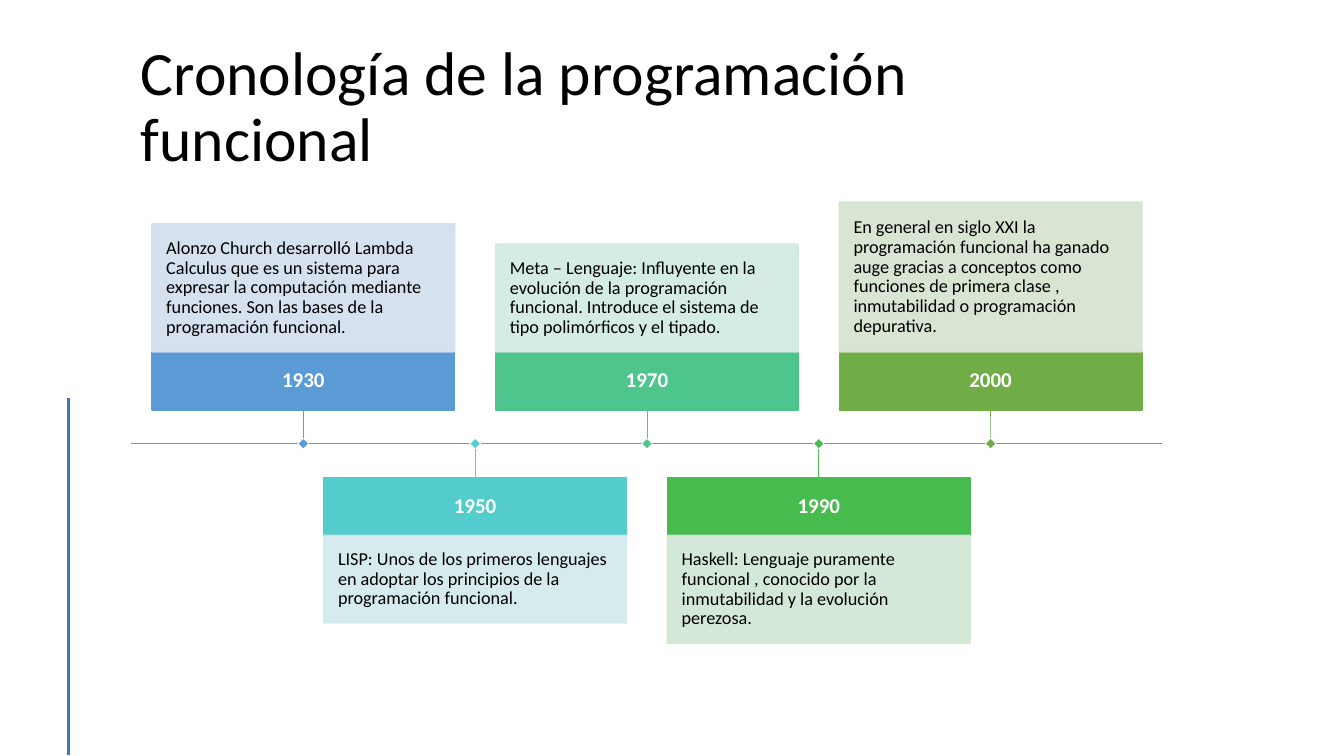
from dataclasses import dataclass

import pptx
import pptx.dml.color
import pptx.enum.shapes
import pptx.enum.text
import pptx.oxml.ns
import pptx.util
from lxml import etree

Cm = pptx.util.Cm
Pt = pptx.util.Pt
RGBColor = pptx.dml.color.RGBColor
ALIGN = pptx.enum.text.PP_ALIGN
ANCHOR = pptx.enum.text.MSO_ANCHOR
RECT = pptx.enum.shapes.MSO_SHAPE.RECTANGLE
STRAIGHT = pptx.enum.shapes.MSO_CONNECTOR.STRAIGHT

BLACK = RGBColor(0x00, 0x00, 0x00)
WHITE = RGBColor(0xFF, 0xFF, 0xFF)
BLUE = RGBColor(0x5B, 0x9B, 0xD5)
DARK_BLUE = RGBColor(0x44, 0x72, 0xC4)
PALE_BLUE = RGBColor(0xD2, 0xDE, 0xEF)
TURQUOISE = RGBColor(0x54, 0xCC, 0xCD)
PALE_TURQUOISE = RGBColor(0xD1, 0xE9, 0xED)
MINT = RGBColor(0x4D, 0xC5, 0x8D)
PALE_MINT = RGBColor(0xD0, 0xEA, 0xE1)
GREEN = RGBColor(0x48, 0xBB, 0x4F)
PALE_GREEN = RGBColor(0xD0, 0xE6, 0xD4)
OLIVE = RGBColor(0x70, 0xAD, 0x47)
PALE_OLIVE = RGBColor(0xD5, 0xE3, 0xCF)

# Timeline geometry, in centimetres
AXIS_Y = 11.18
AXIS_LEFT, AXIS_RIGHT = 3.3, 29.29
CARD_LEFT, CARD_W, PITCH = 3.83, 7.63, 4.33
YEAR_H = 1.46
STEM = 0.85
MARK = 0.19

TITLE_FONT = {"name": "Calibri", "size": Pt(44), "bold": False}
YEAR_FONT = {"name": "Calibri", "size": Pt(15), "bold": True}
BODY_FONT = {"name": "Calibri", "size": Pt(13), "bold": False}


@dataclass
class Milestone:
    year: str
    text: str
    body_h: float
    color: RGBColor
    pale: RGBColor


MILESTONES = [
    Milestone("1930", "Alonzo Church desarrolló Lambda Calculus que es un sistema para "
              "expresar la computación mediante funciones. Son las bases de la "
              "programación funcional.", 3.23, BLUE, PALE_BLUE),
    Milestone("1950", "LISP: Unos de los primeros lenguajes en adoptar los principios "
              "de la programación funcional.", 2.21, TURQUOISE, PALE_TURQUOISE),
    Milestone("1970", "Meta – Lenguaje: Influyente en la evolución de la programación "
              "funcional. Introduce el sistema de tipo polimórficos y el tipado.",
              2.72, MINT, PALE_MINT),
    Milestone("1990", "Haskell: Lenguaje puramente funcional , conocido por la "
              "inmutabilidad y la evolución perezosa.", 2.72, GREEN, PALE_GREEN),
    Milestone("2000", "En general en siglo XXI la programación funcional ha ganado "
              "auge gracias a conceptos como funciones de primera clase , "
              "inmutabilidad o programación depurativa.", 3.78, OLIVE, PALE_OLIVE),
]


def write(sp, text: str, font: dict, color: RGBColor, align, inset_x: float, inset_y: float) -> None:
    tf = sp.text_frame
    frame = {"word_wrap": True, "vertical_anchor": ANCHOR.MIDDLE,
             "margin_left": Cm(inset_x), "margin_right": Cm(inset_x),
             "margin_top": Cm(inset_y), "margin_bottom": Cm(inset_y)}
    for name, value in frame.items():
        setattr(tf, name, value)
    p = tf.paragraphs[0]
    p.alignment = align
    p.line_spacing = 0.9
    r = p.add_run()
    r.text = text
    for name, value in font.items():
        setattr(r.font, name, value)
    r.font.color.rgb = color


def add_rect(s, x: float, y: float, w: float, h: float, fill: RGBColor,
             line: RGBColor, line_w: float = 1):
    sp = s.shapes.add_shape(RECT, Cm(x), Cm(y), Cm(w), Cm(h))
    sp.shadow.inherit = False
    sp.fill.solid()
    sp.fill.fore_color.rgb = fill
    sp.line.color.rgb = line
    sp.line.width = Pt(line_w)
    return sp


def set_opacity(sp, percent: int) -> None:
    qn = pptx.oxml.ns.qn
    for clr in sp._element.spPr.iter(qn("a:srgbClr")):
        etree.SubElement(clr, qn("a:alpha")).set("val", str(percent * 1000))


def add_line(s, x1: float, y1: float, x2: float, y2: float, color: RGBColor, width: float):
    line = s.shapes.add_connector(STRAIGHT, Cm(x1), Cm(y1), Cm(x2), Cm(y2))
    line.line.color.rgb = color
    line.line.width = Pt(width)
    etree.SubElement(line._element.spPr, pptx.oxml.ns.qn("a:effectLst"))
    return line


def add_milestone(s, m: Milestone, index: int) -> None:
    above = index % 2 == 0
    x = CARD_LEFT + index * PITCH
    mid = x + CARD_W / 2
    year_y = AXIS_Y - STEM - YEAR_H if above else AXIS_Y + STEM
    body_y = year_y - m.body_h if above else year_y + YEAR_H

    # Year band and description
    year = add_rect(s, x, year_y, CARD_W, YEAR_H, m.color, m.color)
    write(year, m.year, YEAR_FONT, WHITE, ALIGN.CENTER, 0.2, 0.2)
    body = add_rect(s, x, body_y, CARD_W, m.body_h, m.pale, m.pale)
    set_opacity(body, 90)
    write(body, m.text, BODY_FONT, BLACK, ALIGN.LEFT, 0.36, 0.36)

    # Stem and diamond on the axis
    stem_y = AXIS_Y - STEM if above else AXIS_Y + STEM
    stem = add_line(s, mid, stem_y, mid, AXIS_Y, m.color, 0.5)
    stem.begin_connect(year, 2 if above else 0)
    mark = add_rect(s, mid - MARK / 2, AXIS_Y - MARK / 2, MARK, MARK, m.color, WHITE, 0.5)
    mark.rotation = 45


def main() -> None:
    prs = pptx.Presentation()
    prs.slide_width, prs.slide_height = Cm(33.87), Cm(19.05)
    s = prs.slides.add_slide(prs.slide_layouts[6])

    # Title
    title = s.shapes.add_textbox(Cm(3.3), Cm(1.07), Cm(25.98), Cm(3.33))
    write(title, "Cronología de la programación funcional", TITLE_FONT, BLACK,
          ALIGN.LEFT, 0.25, 0.13)

    # Side rule
    add_line(s, 1.73, 10.03, 1.73, 19.03, DARK_BLUE, 2)

    # Timeline
    add_line(s, AXIS_LEFT, AXIS_Y, AXIS_RIGHT, AXIS_Y, BLUE, 1)
    for index, m in enumerate(MILESTONES):
        add_milestone(s, m, index)

    prs.save("out.pptx")


if __name__ == "__main__":
    main()
